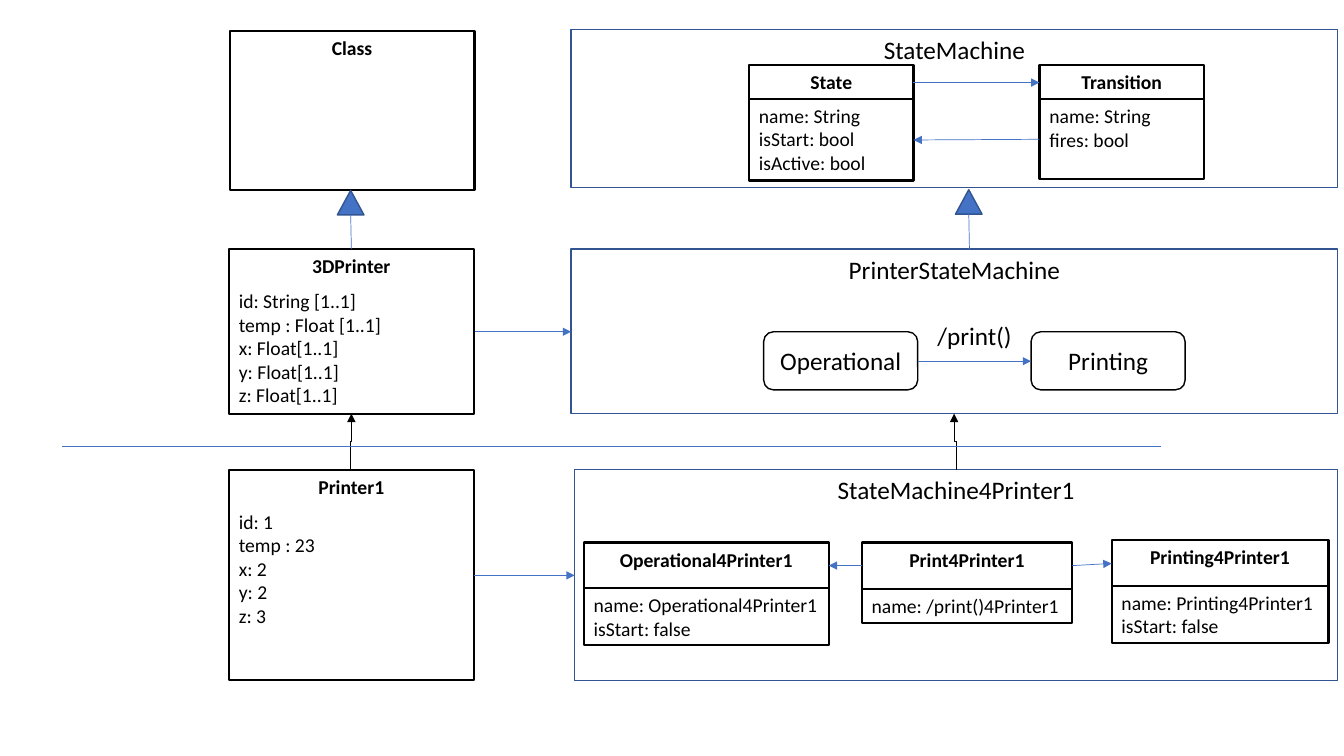
from dataclasses import dataclass

from lxml import etree
from pptx import Presentation
from pptx.dml.color import RGBColor
from pptx.enum.shapes import MSO_CONNECTOR, MSO_SHAPE
from pptx.enum.text import MSO_ANCHOR, PP_ALIGN
from pptx.oxml.ns import qn
from pptx.util import Pt

RECTANGLE = MSO_SHAPE.RECTANGLE
ROUNDED = MSO_SHAPE.ROUNDED_RECTANGLE
TRIANGLE = MSO_SHAPE.ISOSCELES_TRIANGLE
STRAIGHT = MSO_CONNECTOR.STRAIGHT
ELBOW = MSO_CONNECTOR.ELBOW
LEFT, CENTER = PP_ALIGN.LEFT, PP_ALIGN.CENTER
TOP, MIDDLE = MSO_ANCHOR.TOP, MSO_ANCHOR.MIDDLE
QUARTER_TURN_LEFT = "16200000"


@dataclass
class Theme:
    """Colours, type sizes and line widths of the diagram."""
    font: str = "Calibri"
    ink: RGBColor = RGBColor(0, 0, 0)
    accent: RGBColor = RGBColor(0x44, 0x72, 0xC4)
    frame: RGBColor = RGBColor(0x32, 0x54, 0x91)
    large: float = 18
    small: float = 14
    heading_gap: float = 8
    class_line: float = 1.5
    frame_line: float = 1
    link_line: float = 0.5


class Diagram:
    """Draws the elements of a model diagram on one page."""

    def __init__(self, page, theme):
        """Keep the page and its style."""
        self.page = page
        self.theme = theme

    def shape(self, kind, bounds, color, width, fill=None):
        """Add an outlined shape, hollow unless a fill is given."""
        shape = self.page.shapes.add_shape(kind, *map(Pt, bounds))
        shape.shadow.inherit = False
        if fill is None:
            shape.fill.background()
        else:
            shape.fill.solid()
            shape.fill.fore_color.rgb = fill
        shape.line.color.rgb = color
        shape.line.width = Pt(width)
        return shape

    def set_text(self, box, lines, size, align=LEFT, anchor=TOP, wrap=True):
        """Set one paragraph per line and return the paragraphs."""
        frame = box.text_frame
        frame.word_wrap = wrap
        frame.vertical_anchor = anchor
        frame.text = "\n".join(lines)
        for paragraph in frame.paragraphs:
            paragraph.alignment = align
            paragraph.font.name = self.theme.font
            paragraph.font.size = Pt(size)
            paragraph.font.color.rgb = self.theme.ink
        return frame.paragraphs

    def class_box(self, bounds, name=None, attributes=()):
        """Add a class rectangle with an optional bold name over attributes."""
        box = self.shape(RECTANGLE, bounds, self.theme.ink, self.theme.class_line)
        lines = ([name] if name else []) + list(attributes)
        first = self.set_text(box, lines, self.theme.small)[0]
        if name:
            first.alignment = CENTER
            first.font.bold = True
            first.space_after = Pt(self.theme.heading_gap)

    def split_class(self, left, top, width, heights, name, attributes):
        """Add a class with its name and attributes in stacked compartments."""
        head, body = heights
        self.class_box((left, top, width, head), name)
        self.class_box((left, top + head, width, body), attributes=attributes)

    def machine(self, bounds, name):
        """Add the frame of a state machine."""
        box = self.shape(RECTANGLE, bounds, self.theme.frame, self.theme.frame_line)
        self.set_text(box, [name], self.theme.large, CENTER)

    def state(self, bounds, name):
        """Add a rounded state."""
        box = self.shape(ROUNDED, bounds, self.theme.ink, self.theme.frame_line)
        self.set_text(box, [name], self.theme.large, CENTER, MIDDLE)

    def label(self, bounds, text):
        """Add a free label."""
        box = self.page.shapes.add_textbox(*map(Pt, bounds))
        self.set_text(box, [text], self.theme.large, wrap=False)

    def link(self, start, end, arrow=True, kind=STRAIGHT, color=None):
        """Add a connector, by default with an arrowhead at its end."""
        link = self.page.shapes.add_connector(kind, *map(Pt, (*start, *end)))
        link.line.color.rgb = color or self.theme.accent
        link.line.width = Pt(self.theme.link_line)
        properties = link._element.spPr
        if arrow:
            etree.SubElement(properties.find(qn("a:ln")), qn("a:tailEnd"),
                             type="triangle")
        etree.SubElement(properties, qn("a:effectLst"))
        return link

    def instance_of(self, start, end):
        """Add an upward elbow arrow: a level one turned to the left."""
        (x1, y1), (x2, y2) = start, end
        middle_x, middle_y = (x1 + x2) / 2, (y1 + y2) / 2
        rise, drift = (y1 - y2) / 2, (x2 - x1) / 2
        link = self.link((middle_x - rise, middle_y - drift),
                         (middle_x + rise, middle_y + drift),
                         kind=ELBOW, color=self.theme.ink)
        link._element.spPr.find(qn("a:xfrm")).set("rot", QUARTER_TURN_LEFT)

    def inherits(self, center, top, bottom):
        """Add a generalization: a triangle on a stem."""
        width, height = 19, 17.5
        self.shape(TRIANGLE, (center - width / 2, top, width, height),
                   self.theme.frame, self.theme.frame_line, self.theme.accent)
        self.link((center, top + height), (center + 0.5, bottom), arrow=False)


def draw_classes(diagram):
    """Draw the class column."""
    diagram.class_box((164, 22, 175, 113.5), "Class")
    diagram.class_box((163.5, 178, 175, 117.5), "3DPrinter",
                      ["id: String [1..1]", "temp : Float [1..1]",
                       "x: Float[1..1]", "y: Float[1..1]", "z: Float[1..1]"])
    diagram.class_box((163.5, 335.5, 175, 150.5), "Printer1",
                      ["id: 1", "temp : 23", "x: 2", "y: 2", "z: 3"])


def draw_machines(diagram):
    """Draw the state machine column with its contents."""
    diagram.machine((408, 21, 547.5, 113), "StateMachine")
    diagram.machine((408, 178, 547.5, 117.5), "PrinterStateMachine")
    diagram.machine((410.5, 335.5, 545, 150.5), "StateMachine4Printer1")
    for left, name in ((545.5, "Operational"), (736.5, "Printing")):
        diagram.state((left, 237, 110, 41.5), name)
    diagram.label((662.5, 225.5, 68.5, 29), "/print()")
    for part in (
        (535, 46.5, 117.5, (24, 58.5), "State",
         ["name: String", "isStart: bool", "isActive: bool"]),
        (742.5, 46.5, 117.5, (24.5, 57), "Transition",
         ["name: String", "fires: bool"]),
        (417, 387.5, 175, (32.5, 41), "Operational4Printer1",
         ["name: Operational4Printer1", "isStart: false"]),
        (615.5, 387.5, 150.5, (33, 24.5), "Print4Printer1",
         ["name: /print()4Printer1"]),
        (794, 386, 155, (32.5, 41), "Printing4Printer1",
         ["name: Printing4Printer1", "isStart: false"]),
    ):
        diagram.split_class(*part)


def draw_links(diagram):
    """Draw the relations and the line between model levels."""
    for start, end in (
        ((339, 237), (408, 237)),
        ((338.5, 411), (410.5, 411)),
        ((652.5, 59), (742.5, 59)),
        ((742.5, 99.5), (652.5, 100)),
        ((655.5, 258), (736.5, 258)),
        ((615.5, 404), (592, 404)),
        ((766, 404), (794, 402.5)),
    ):
        diagram.link(start, end)
    diagram.inherits(250.5, 136, 178)
    diagram.inherits(692, 135.5, 178)
    diagram.instance_of((250.5, 335.5), (251, 295.5))
    diagram.instance_of((683, 335.5), (681.5, 295.5))
    diagram.link((44.5, 319), (829.5, 319), arrow=False)


def main():
    """Build the deck."""
    deck = Presentation()
    deck.slide_width, deck.slide_height = Pt(960), Pt(540)
    page = deck.slides.add_slide(deck.slide_layouts[6])
    diagram = Diagram(page, Theme())
    draw_classes(diagram)
    draw_machines(diagram)
    draw_links(diagram)
    deck.save("out.pptx")


main()
